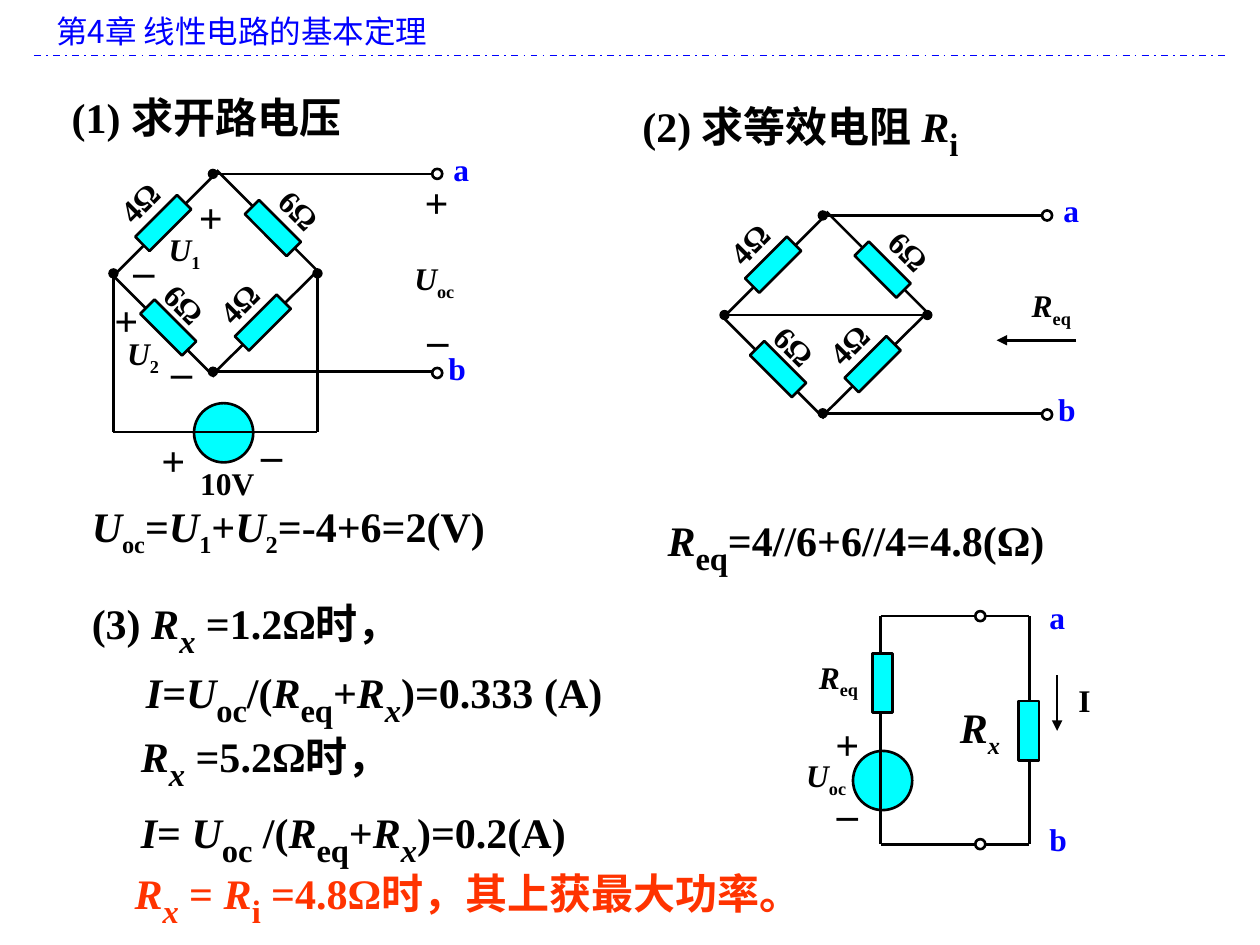
"""Build the slide on open-circuit voltage, equivalent resistance and maximum power."""
from lxml import etree
from pptx import Presentation
from pptx.dml.color import RGBColor
from pptx.enum.dml import MSO_LINE
from pptx.enum.shapes import MSO_CONNECTOR, MSO_SHAPE
from pptx.enum.text import MSO_ANCHOR, MSO_AUTO_SIZE, PP_ALIGN
from pptx.oxml.ns import qn
from pptx.util import Inches, Pt

BLACK, BLUE, CYAN, RED = "000000", "0000FF", "00FFFF", "FF3300"
SERIF, CHINESE = "Times New Roman", "Noto Sans CJK SC"
STRAIGHT, DASH_DOT = MSO_CONNECTOR.STRAIGHT, MSO_LINE.DASH_DOT
RECTANGLE, OVAL = MSO_SHAPE.RECTANGLE, MSO_SHAPE.OVAL
LEFT, CENTER = PP_ALIGN.LEFT, PP_ALIGN.CENTER
TOP, MIDDLE = MSO_ANCHOR.TOP, MSO_ANCHOR.MIDDLE
FIT_SHAPE = MSO_AUTO_SIZE.SHAPE_TO_FIT_TEXT

LINE_STYLES = {
    "header": (BLUE, 1, DASH_DOT, None, None),
    "wire": (BLACK, 1.5, None, None, None),
    "node": (BLACK, 1.5, None, "oval", None),
    "bridge": (BLACK, 1.5, None, "oval", "oval"),
    "arrow": (BLACK, 1.5, None, None, "triangle"),
}

presentation = Presentation()
presentation.slide_width = Inches(10)
presentation.slide_height = Inches(7.5)
slide = presentation.slides.add_slide(presentation.slide_layouts[6])


def add_label(markup, left, top, width, size=18, color=BLACK, subscript_size=None, rotation=0,
              align=LEFT, anchor=TOP, wrap=True, font_name=SERIF, bold=True):
    """Add text whose parts are split by |, with ~ for italic and ^ for subscript."""
    height = 0.5 if size == 24 else 0.4
    shape = slide.shapes.add_textbox(Inches(left), Inches(top), Inches(width), Inches(height))
    shape.rotation = rotation
    frame = shape.text_frame
    frame.word_wrap = wrap
    frame.auto_size = FIT_SHAPE
    frame.vertical_anchor = anchor
    paragraph = frame.paragraphs[0]
    paragraph.alignment = align
    font = paragraph.font
    font.name, font.size, font.bold = font_name, Pt(size), bold
    font.color.rgb = RGBColor.from_string(color)
    properties = paragraph._p.pPr.find(qn("a:defRPr"))
    etree.SubElement(properties, qn("a:ea")).set("typeface", CHINESE)
    for part in markup.split("|"):
        run = paragraph.add_run()
        run.text = part.lstrip("^~")
        if part.startswith("^"):
            run._r.get_or_add_rPr().set("baseline", "-25000")
            if subscript_size:
                run.font.size = Pt(subscript_size)
        if part.startswith(("~", "^~")):
            run.font.italic = True


def add_component(kind, left, top, width, height, rotation=0, fill=CYAN):
    """Add a source, resistor or terminal."""
    shape = slide.shapes.add_shape(kind, Inches(left), Inches(top), Inches(width), Inches(height))
    shape.rotation = rotation
    shape.shadow.inherit = False
    if fill:
        shape.fill.solid()
        shape.fill.fore_color.rgb = RGBColor.from_string(fill)
    else:
        shape.fill.background()
    shape.line.color.rgb = RGBColor.from_string(BLACK)
    shape.line.width = Pt(1.5)


bridges = [(0, 0), (4.84, 0.33)]
lines = [
    (0.27, 0.44, 9.72, 0.44, "header"),
    (0.9, 3.43, 2.52, 3.43, "wire"),
    (0.9, 2.17, 0.9, 3.43, "node"),
    (2.52, 2.17, 2.52, 3.43, "node"),
    (5.75, 2.5, 7.36, 2.5, "bridge"),
    (8.54, 2.7, 7.91, 2.7, "arrow"),
    (8.17, 4.89, 8.17, 6.7, "wire"),
    (6.99, 4.89, 6.99, 6.7, "wire"),
    (8.39, 5.36, 8.39, 5.8, "arrow"),
]
resistors = [(7.93, 5.72, 90), (6.77, 5.34, 90)]
terminals = [(7.74, 4.85), (7.74, 6.66)]
labels = [("a", 8.23, 4.7, 0.32, BLUE, 0), ("b", 8.23, 6.46, 0.32, BLUE, 0)]

for y in (4.89, 6.7):
    lines += [(6.99, y, 7.74, y, "wire"), (7.81, y, 8.17, y, "wire")]

for dx, dy in bridges:
    for x1, y1, x2, y2, style in [
        (0.89, 2.18, 1.7, 2.99, "wire"),
        (1.72, 1.37, 0.91, 2.18, "wire"),
        (1.72, 1.35, 2.53, 2.16, "wire"),
        (2.51, 2.16, 1.7, 2.96, "wire"),
        (1.69, 1.38, 3.43, 1.38, "node"),
        (1.69, 2.95, 3.43, 2.95, "node"),
    ]:
        lines.append((x1 + dx, y1 + dy, x2 + dx, y2 + dy, style))
    for x, y, rotation in [(1.06, 1.69, 135), (1.93, 1.73, 45), (1.1, 2.52, 45), (1.85, 2.48, 135)]:
        resistors.append((x + dx, y + dy, rotation))
    for y in (1.34, 2.92):
        terminals.append((3.43 + dx, y + dy))
    for text, x, y, width, color, rotation in [
        ("4Ω", 0.83, 1.37, 0.62, BLACK, 315),
        ("6Ω", 2.1, 1.5, 0.62, BLACK, 45),
        ("6Ω", 1.19, 2.25, 0.62, BLACK, 45),
        ("4Ω", 1.62, 2.17, 0.62, BLACK, 315),
        ("a", 3.5, 1.14, 0.32, BLUE, 0),
        ("b", 3.46, 2.72, 0.32, BLUE, 0),
    ]:
        labels.append((text, x + dx, y + dy, width, color, rotation))

for left, top in [(1.54, 3.2), (6.77, 5.96)]:
    add_component(OVAL, left, top, 0.47, 0.47)

for x1, y1, x2, y2, style in lines:
    color, width, dash, head, tail = LINE_STYLES[style]
    connector = slide.shapes.add_connector(STRAIGHT, Inches(x1), Inches(y1), Inches(x2), Inches(y2))
    connector.line.color.rgb = RGBColor.from_string(color)
    connector.line.width = Pt(width)
    if dash:
        connector.line.dash_style = dash
    shape_properties = connector._element.spPr
    outline = shape_properties.find(qn("a:ln"))
    for tag, end in (("a:headEnd", head), ("a:tailEnd", tail)):
        if end:
            etree.SubElement(outline, qn(tag)).set("type", end)
    etree.SubElement(shape_properties, qn("a:effectLst"))

for left, top, rotation in resistors:
    add_component(RECTANGLE, left, top, 0.47, 0.16, rotation)
for left, top in terminals:
    add_component(OVAL, left, top, 0.08, 0.08, fill=None)

for text, left, top, width, color, rotation in labels:
    add_label(text, left, top, width, color=color, rotation=rotation)

for markup, left, top, width, wrap in [
    ("~U|^1", 1.24, 1.78, 0.6, True),
    ("~U|^2", 0.91, 2.6, 0.59, True),
    ("~U|^oc", 3.19, 2.01, 0.54, False),
    ("~U|^oc", 6.3, 5.95, 0.73, True),
    ("~R|^eq", 8.09, 2.22, 0.53, False),
    ("~R|^eq", 6.4, 5.17, 0.67, True),
    ("10V", 1.49, 3.63, 0.91, True),
    ("I", 8.46, 5.36, 0.32, True),
]:
    add_label(markup, left, top, width, wrap=wrap)

for sign, left, top in [("+", 1.48, 1.47), ("–", 0.96, 1.89), ("+", 0.81, 2.29), ("–", 1.26, 2.69)]:
    add_label(sign, left, top, 0.3, 24)
for left, top in [(1.18, 3.4), (3.27, 1.35), (6.53, 5.65)]:
    add_label("+", left, top, 0.39, 24, align=CENTER, anchor=MIDDLE, wrap=False)
for left, top in [(1.97, 3.24), (3.29, 2.33), (6.54, 6.09)]:
    add_label("_", left, top, 0.37, 24, align=CENTER, anchor=MIDDLE)

add_label("第4章 线性电路的基本定理", 0.35, 0.05, 9.37, color=BLUE, font_name=CHINESE, bold=False)
add_label("~U|^oc|=|~U|^1|+|~U|^2|=-4+6=2(V)", 0.63, 3.95, 3.38, 24, anchor=MIDDLE, wrap=False)
add_label("~R|^~x", 7.52, 5.52, 0.79, 24)

for markup, left, top, width, color, anchor in [
    ("(1) 求开路电压", 0.47, 0.68, 3.23, BLACK, TOP),
    ("(2) 求等效电阻 |~R|^i", 5, 0.64, 3.25, BLACK, TOP),
    ("~R|^eq|=4//6+6//4=4.8(Ω)", 5.2, 3.92, 3.6, BLACK, TOP),
    ("(3) |~R|^~x| =1.2Ω时，", 0.63, 4.58, 2.92, BLACK, TOP),
    ("~I|=|~U|^oc|/(|~R|^eq|+|~R|^~x|)=0.333 (A)", 1.06, 5.13, 5.12, BLACK, TOP),
    ("~R|^~x| =5.2Ω时，", 1.02, 5.64, 2.25, BLACK, TOP),
    ("~I|= |~U|^oc| /(|~R|^eq|+|~R|^~x|)=0.2(A)", 1.02, 6.24, 4.76, BLACK, TOP),
    ("~R|^~x| = |~R|^i| =4.8Ω时，其上获最大功率。", 0.97, 6.83, 6.04, RED, MIDDLE),
]:
    add_label(markup, left, top, width, 24, color, subscript_size=32, anchor=anchor)

presentation.save("out.pptx")
